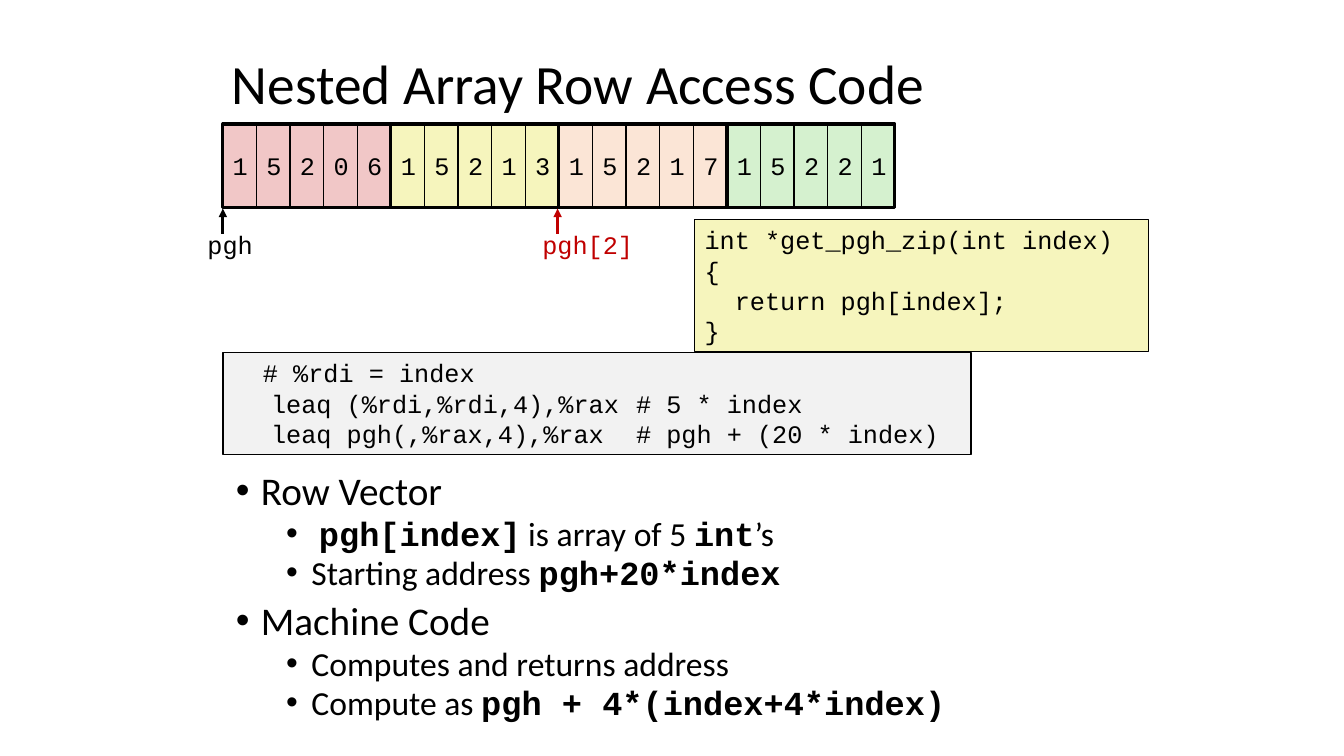
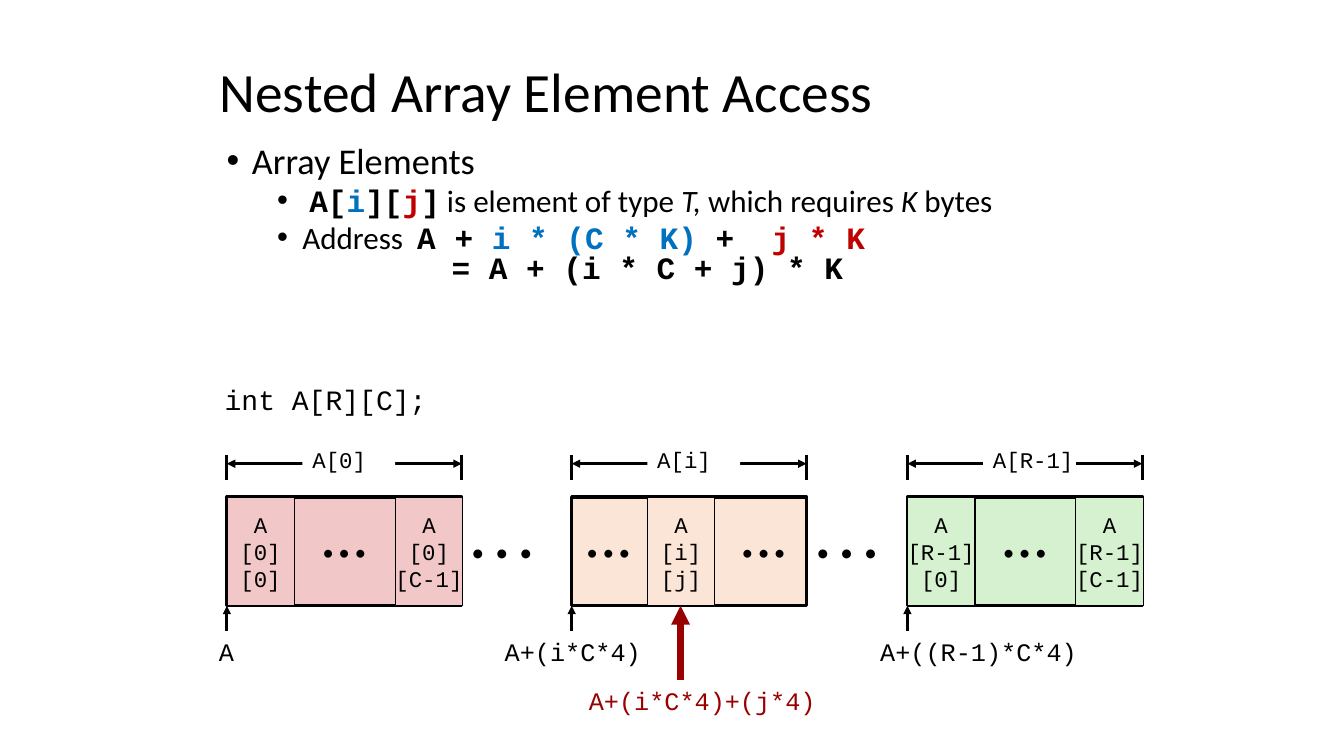
import pptx
import pptx.util
import pptx.dml.color
import pptx.enum.shapes
import pptx.enum.text
import pptx.oxml.ns
import lxml.etree

Inches = pptx.util.Inches
ALIGN = pptx.enum.text.PP_ALIGN
ANCHOR = pptx.enum.text.MSO_ANCHOR
qn = pptx.oxml.ns.qn

SANS, MONO = "Calibri", "Courier New"
BLACK, WHITE, GREY = "000000", "FFFFFF", "F2F2F2"
RED, DARK_RED, BLUE = "C00000", "990000", "0070C0"
PINK, YELLOW, PEACH, GREEN = "F1C7C7", "F6F5BD", "FBE5D6", "D5F1CF"
DOTS = "•\u00a0•\u00a0•"
WIDE_DOTS = "• \u00a0•\u00a0 •"
CODE = {"mono": True}


def rgb(value):
    """Turn a hex string into a colour."""
    return pptx.dml.color.RGBColor.from_string(value)


def child(parent, tag, **attributes):
    """Append a DrawingML element."""
    return lxml.etree.SubElement(parent, qn(tag), attributes)


def set_font(font, size, name=SANS, color=BLACK):
    """Set size, typeface and colour of a font."""
    font.size = pptx.util.Pt(size)
    font.name = name
    font.color.rgb = rgb(color)


def set_tabs(p, stops):
    """Add left tab stops, given in inches, to a paragraph."""
    tabs = lxml.etree.Element(qn("a:tabLst"))
    for stop in stops:
        child(tabs, "a:tab", pos=str(Inches(stop)), algn="l")
    p._p.get_or_add_pPr().insert(0, tabs)


def set_bullet(p, left, hanging):
    """Indent a paragraph and give it a bullet if it hangs."""
    pPr = p._p.get_or_add_pPr()
    pPr.set("marL", str(Inches(left)))
    pPr.set("indent", str(Inches(-hanging)))
    if hanging:
        marks = [("a:buFont", {"typeface": "Arial"}), ("a:buChar", {"char": "•"})]
    else:
        marks = [("a:buNone", {})]
    for tag, attributes in marks:
        pPr.find(qn("a:defRPr")).addprevious(lxml.etree.Element(qn(tag), attributes))


def write(sp, text, size, name=MONO, color=BLACK, align=ALIGN.LEFT,
          anchor=ANCHOR.TOP, wrap=True, tabs=()):
    """Fill a shape with evenly styled lines of text."""
    tf = sp.text_frame
    tf.word_wrap = wrap
    tf.vertical_anchor = anchor
    for i, line in enumerate(text.split("\n")):
        p = tf.add_paragraph() if i else tf.paragraphs[0]
        p.add_run().text = line
        p.alignment = align
        set_font(p.font, size, name, color)
        if tabs:
            set_tabs(p, tabs)


def add_text(s, box, text, size=18, **style):
    """Add a text box."""
    sp = s.shapes.add_textbox(*map(Inches, box))
    write(sp, text, size, **style)
    return sp


def add_box(s, box, fill=None, line=None, text="", size=18, **style):
    """Add a rectangle with optional fill, outline width and text."""
    sp = s.shapes.add_shape(pptx.enum.shapes.MSO_SHAPE.RECTANGLE, *map(Inches, box))
    sp.shadow.inherit = False
    if fill:
        sp.fill.solid()
        sp.fill.fore_color.rgb = rgb(fill)
    else:
        sp.fill.background()
    if line:
        sp.line.color.rgb = rgb(BLACK)
        sp.line.width = pptx.util.Pt(line)
    else:
        sp.line.fill.background()
    if text:
        write(sp, text, size, **style)
    return sp


def add_line(s, x1, y1, x2, y2, color=BLACK, width=2, ends=()):
    """Add a straight line with triangles at the named ends."""
    cn = s.shapes.add_connector(pptx.enum.shapes.MSO_CONNECTOR.STRAIGHT,
                                *map(Inches, (x1, y1, x2, y2)))
    cn.line.color.rgb = rgb(color)
    cn.line.width = pptx.util.Pt(width)
    ln = cn.line._get_or_add_ln()
    for end in ends:
        child(ln, "a:" + end, type="triangle")
    child(cn._element.spPr, "a:effectLst")


def add_pointer(s, x, y, length=0.25, **style):
    """Add an arrow that points up at (x, y)."""
    add_line(s, x, y + length, x, y, ends=("tailEnd",), **style)


def add_title(s, box, text):
    """Add a slide title."""
    sp = add_text(s, box, text, 39.6, name=SANS, anchor=ANCHOR.MIDDLE)
    sp.text_frame.paragraphs[0].line_spacing = 0.9


def add_bullets(s, box, items, sizes):
    """Add a two-level list; an item is (level, runs, continuation indent)."""
    tf = s.shapes.add_textbox(*map(Inches, box)).text_frame
    tf.word_wrap = True
    for i, (level, runs, indent) in enumerate(items):
        p = tf.add_paragraph() if i else tf.paragraphs[0]
        p.level = level
        p.line_spacing = 0.8
        p.space_before = pptx.util.Pt(0 if indent else (10, 5)[level])
        set_font(p.font, sizes[level])
        set_bullet(p, indent or (0.25, 0.75)[level], 0 if indent else 0.25)
        for text, style in runs:
            r = p.add_run()
            r.text = text
            mono = style.get("mono", False)
            set_font(r.font, sizes[level], MONO if mono else SANS,
                     style.get("color", BLACK))
            r.font.bold = mono
            r.font.italic = style.get("italic", False)


def add_digit_rows(s, left, top, rows):
    """Draw the zip codes as adjoining rows of memory cells."""
    width, height, count = 1 / 3, 0.83, 5
    for i, (digits, fill) in enumerate(rows):
        for j, digit in enumerate(digits):
            x = left + (i * count + j) * width
            add_box(s, (x, top, width, height), fill, 1, digit,
                    anchor=ANCHOR.MIDDLE, wrap=False)
    for i in range(len(rows)):
        add_box(s, (left + i * count * width, top, count * width, height), line=2.25)


def add_array_row(s, left, top, fill, name, cells, dots):
    """Draw one array row with its cells, span arrow and base pointer."""
    width, height = 2.33, 1.08
    add_box(s, (left, top, width, height), fill, 2.25, size=16, name=SANS,
            anchor=ANCHOR.MIDDLE, **dots)
    for offset, text in cells:
        add_box(s, (left + offset, top, 0.67, height), fill, 1, text, 16,
                align=ALIGN.CENTER, anchor=ANCHOR.MIDDLE, wrap=False)
    for x in (left, left + width):
        add_line(s, x, top - 0.42, x, top - 0.17)
    add_line(s, left, top - 0.33, left + width, top - 0.33, ends=("headEnd", "tailEnd"))
    add_box(s, (left + 0.75, top - 0.58, 0.92, 0.42), WHITE, None, name, 16,
            anchor=ANCHOR.MIDDLE, wrap=False)
    add_pointer(s, left, top + height)


def build_row_access(s):
    """Build the slide on row access code."""
    add_title(s, (2.2, 0.54, 8.36, 0.63), "Nested Array Row Access Code")
    add_bullets(s, (2.24, 4.67, 8.1, 2.67), [
        (0, [("Row Vector", {})], 0),
        (1, [(" ", {}), ("pgh[index]", CODE), (" is array of 5 ", {}),
             ("int", CODE), ("’s", {})], 0),
        (1, [("Starting address ", {}), ("pgh+20*index", CODE)], 0),
        (0, [("Machine Code", {})], 0),
        (1, [("Computes and returns address", {})], 0),
        (1, [("Compute as ", {}), ("pgh + 4*(index+4*index)", CODE)], 0),
    ], (28, 24))
    add_box(s, (6.89, 2.18, 4.5, 1.31), YELLOW, 1,
            "int *get_pgh_zip(int index)\n{\n  return pgh[index];\n}")
    add_box(s, (2.21, 3.5, 7.42, 1.01), GREY, 1,
            "  # %rdi = index\n"
            "\tleaq (%rdi,%rdi,4),%rax\t# 5 * index\n"
            "\tleaq pgh(,%rax,4),%rax\t# pgh + (20 * index)", tabs=(0.38, 4))
    add_digit_rows(s, 2.21, 1.23, [("15206", PINK), ("15213", YELLOW),
                                   ("15217", PEACH), ("15221", GREEN)])
    for x, width, label, color in ((2.21, 0.66, "pgh", BLACK),
                                   (5.53, 1.11, "pgh[2]", RED)):
        add_pointer(s, x, 2.07, color=color)
        add_text(s, (x - 0.25, 2.23, width, 0.4), label, color=color, wrap=False)


def build_element_access(s):
    """Build the slide on element access."""
    blue, red = {"mono": True, "color": BLUE}, {"mono": True, "color": RED}
    italic = {"italic": True}
    add_title(s, (2.08, 0.62, 7.58, 0.63), "Nested Array Element Access")
    add_bullets(s, (2.15, 1.41, 8.52, 1.59), [
        (0, [("Array Elements", {})], 0),
        (1, [(" ", {}), ("A[", CODE), ("i", blue), ("][", CODE), ("j", red),
             ("]", CODE), (" is element of type ", {}), ("T, ", italic),
             ("which requires ", {}), ("K", italic), (" bytes", {})], 0),
        (1, [("Address  ", {}), ("A + ", CODE), ("i * (C * K) ", blue),
             ("+  ", CODE), ("j * K", red)], 0),
        (1, [("= A + (i * C + j) * K", CODE)], 2.23),
    ], (25.9, 22.2))
    add_text(s, (2.13, 3.75, 2.5, 0.43), "int A[R][C];", 20)

    top = 4.93
    for x in (4.58, 8):
        add_box(s, (x, top, 1.08, 1.08), WHITE, None, WIDE_DOTS, name=SANS,
                anchor=ANCHOR.MIDDLE, wrap=False)
    middle = {"text": DOTS, "align": ALIGN.CENTER}
    sides = {"text": f" {DOTS}\t{DOTS}", "tabs": (1.59,)}
    add_array_row(s, 2.25, top, PINK, "A[0]",
                  [(0, "A\n[0]\n[0]"), (1.67, "A\n[0]\n[C-1]")], middle)
    add_array_row(s, 5.67, top, PEACH, "A[i]", [(0.75, "A\n[i]\n[j]")], sides)
    add_array_row(s, 9, top, GREEN, "A[R-1]",
                  [(0, "A\n[R-1]\n[0]"), (1.67, "A\n[R-1]\n[C-1]")], middle)
    for x, width, label in ((2.03, 0.43, "A"), (4.89, 1.58, "A+(i*C*4)"),
                            (8.58, 2.25, "A+((R-1)*C*4)")):
        add_text(s, (x, 6.26, width, 0.4), label, align=ALIGN.CENTER)
    add_pointer(s, 6.75, 6.01, 0.74, color=DARK_RED, width=4.5)
    add_text(s, (5.35, 6.75, 3.23, 0.4), "A+(i*C*4)+(j*4)",
             color=DARK_RED, align=ALIGN.CENTER)


prs = pptx.Presentation()
prs.slide_width, prs.slide_height = Inches(13.33), Inches(7.5)
for build in (build_row_access, build_element_access):
    build(prs.slides.add_slide(prs.slide_layouts[6]))
prs.save("out.pptx")
